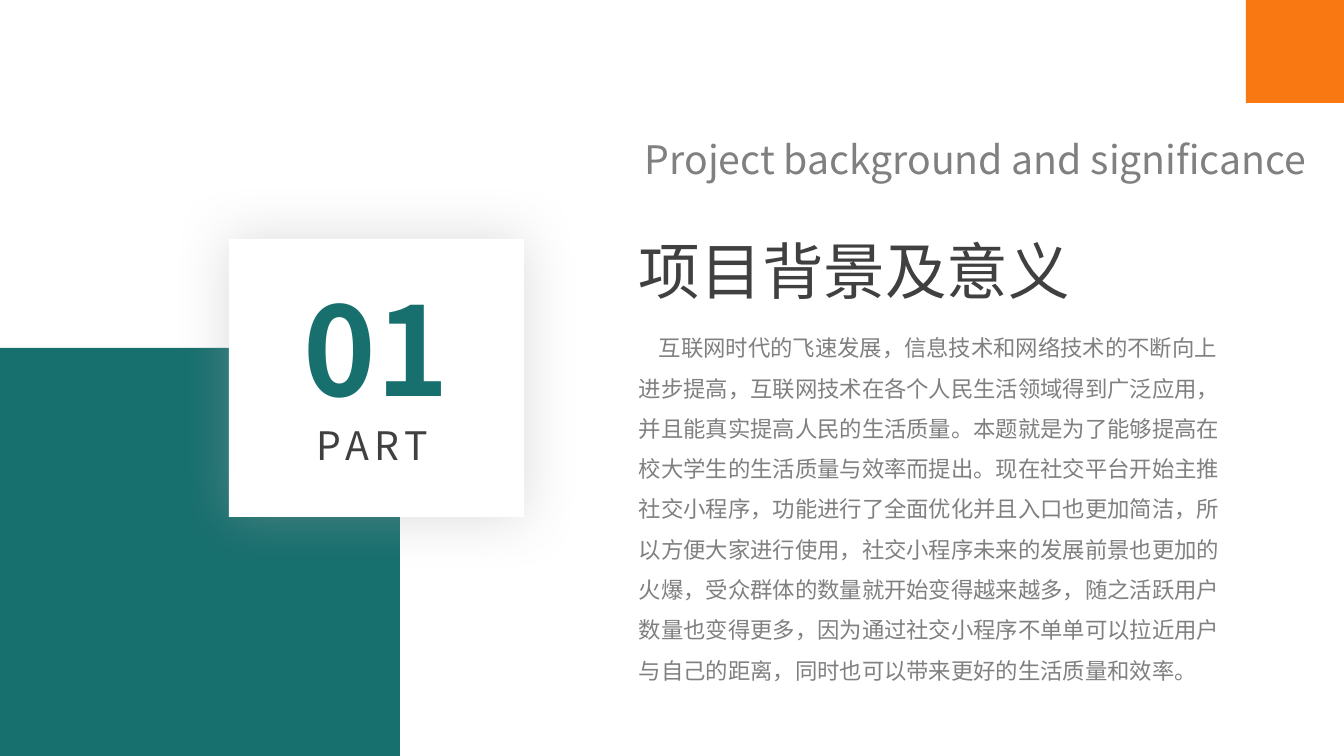
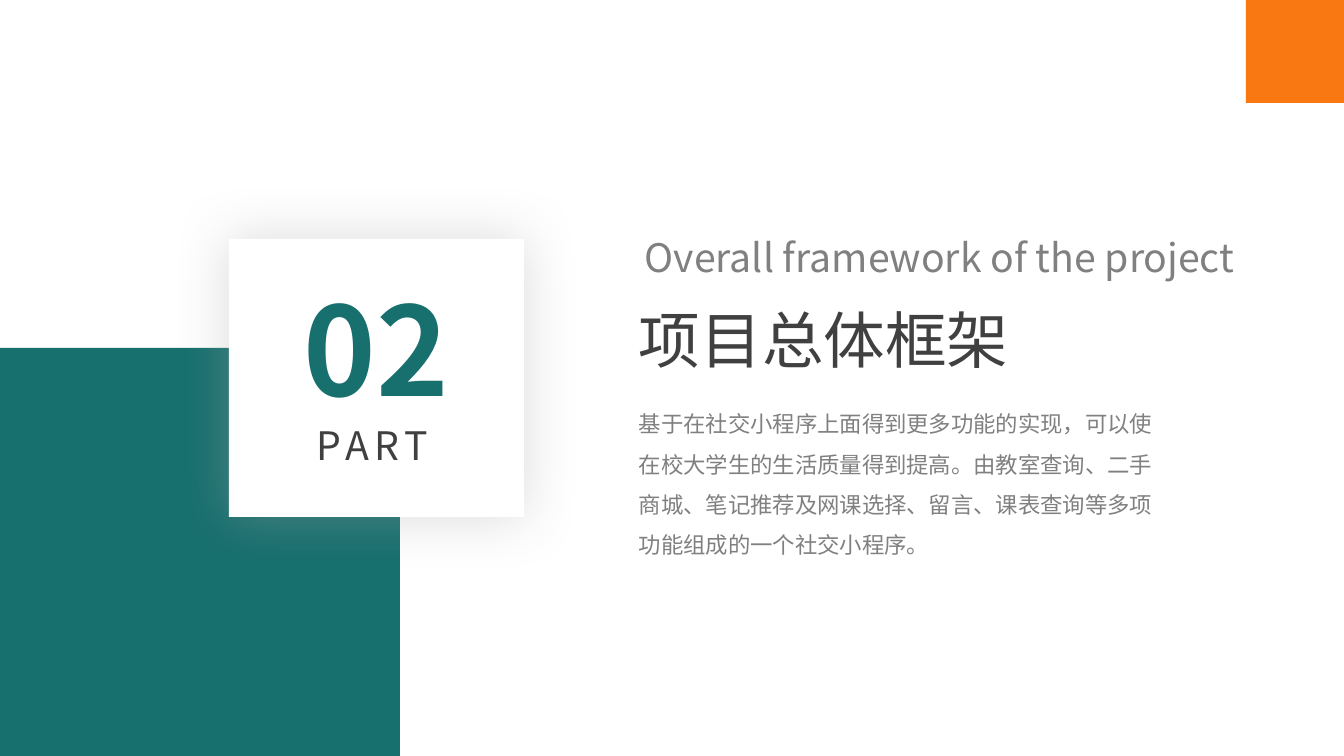
import lxml.etree
import pptx
import pptx.dml.color
import pptx.enum.shapes
import pptx.enum.text
import pptx.oxml.ns
import pptx.util

SLIDE_W, SLIDE_H = 1344, 756
EMU_PER_PX = 12192000 / SLIDE_W

SANS = "Noto Sans CJK SC"
TITLE_FONT = "Noto Sans CJK JP"
TEAL, ORANGE, WHITE = "176F6E", "FA7812", "FFFFFF"
DARK, GREY, SHADOW = "404040", "808080", "A6A6A6"

TEXT_LEFT = 629
JUSTIFY = pptx.enum.text.PP_ALIGN.JUSTIFY


def px(length):
    return pptx.util.Emu(round(length * EMU_PER_PX))


def color(hex_string):
    return pptx.dml.color.RGBColor.from_string(hex_string)


def add_xml(parent, tag, **attributes):
    return lxml.etree.SubElement(parent, pptx.oxml.ns.qn(tag), attributes)


class Deck:
    """Holds the shared style and the slide being built."""

    def __init__(self):
        self.prs = pptx.Presentation()
        self.prs.slide_width, self.prs.slide_height = px(SLIDE_W), px(SLIDE_H)
        self.slide = None

    def new_slide(self):
        self.slide = self.prs.slides.add_slide(self.prs.slide_layouts[6])

    def block(self, left, top, width, height, fill):
        block = self.slide.shapes.add_shape(
            pptx.enum.shapes.MSO_SHAPE.RECTANGLE,
            px(left), px(top), px(width), px(height))
        block.shadow.inherit = False
        block.fill.solid()
        block.fill.fore_color.rgb = color(fill)
        block.line.fill.background()
        return block

    def card(self, left, top, width, height):
        """White block with a soft shadow on all sides."""
        card = self.block(left, top, width, height, WHITE)
        effects = card._element.spPr.find(pptx.oxml.ns.qn("a:effectLst"))
        shadow = add_xml(effects, "a:outerShdw", dist="0", algn="ctr",
                         blurRad=str(pptx.util.Pt(40)), rotWithShape="0")
        tint = add_xml(shadow, "a:srgbClr", val=SHADOW)
        add_xml(tint, "a:alpha", val="40000")

    def text(self, left, top, width, height, words, size, fill, font=SANS,
             bold=False, align=None, wrap=True, spacing=None, tracking=0,
             indent=0):
        box = self.slide.shapes.add_textbox(px(left), px(top), px(width), px(height))
        frame = box.text_frame
        frame.word_wrap = wrap
        frame.text = words
        paragraph = frame.paragraphs[0]
        paragraph.alignment = align
        paragraph.line_spacing = spacing
        if indent:
            paragraph._p.get_or_add_pPr().set("indent", str(px(indent)))
        run = paragraph.runs[0]
        run.font.size = pptx.util.Pt(size)
        run.font.bold = bold
        run.font.color.rgb = color(fill)
        run.font.name = font
        properties = run._r.get_or_add_rPr()
        add_xml(properties, "a:ea", typeface=font)
        if tracking:
            properties.set("spc", str(tracking * 100))

    def section(self, number):
        """Start a section slide: colour blocks and the numbered card."""
        self.new_slide()
        self.block(0, 348, 400, 408, TEAL)
        self.card(229, 239, 295, 278)
        self.block(1246, 0, 98, 103, ORANGE)
        self.text(294, 268, 167, 159, number, 88, TEAL, bold=True, wrap=False)
        self.text(307, 416, 150, 57, "PART", 28, DARK, align=JUSTIFY, tracking=4)

    def title(self, top, words):
        self.text(TEXT_LEFT, top, 506, 86, words, 44, DARK, font=TITLE_FONT)

    def subtitle(self, top, words):
        self.text(TEXT_LEFT + 6, top, 709, 60, words, 28, GREY, align=JUSTIFY)

    def body(self, top, width, height, words, indent=0):
        self.text(TEXT_LEFT, top, width, height, words, 16, GREY,
                  spacing=1.5, indent=indent)


def main():
    deck = Deck()

    # Part 01: background and significance
    deck.section("01")
    deck.title(228, "项目背景及意义")
    deck.subtitle(130, "Project background and significance")
    deck.body(
        316, 606, 411,
        "互联网时代的飞速发展，信息技术和网络技术的不断向上进步提高，"
        "互联网技术在各个人民生活领域得到广泛应用，并且能真实提高人民的生活质量。"
        "本题就是为了能够提高在校大学生的生活质量与效率而提出。"
        "现在社交平台开始主推社交小程序，功能进行了全面优化并且入口也更加简洁，"
        "所以方便大家进行使用，社交小程序未来的发展前景也更加的火爆，"
        "受众群体的数量就开始变得越来越多，随之活跃用户数量也变得更多，"
        "因为通过社交小程序不单单可以拉近用户与自己的距离，"
        "同时也可以带来更好的生活质量和效率。",
        indent=20)

    # Part 02: overall framework
    deck.section("02")
    deck.title(297, "项目总体框架")
    deck.subtitle(228, "Overall framework of the project")
    deck.body(
        392, 539, 268,
        "基于在社交小程序上面得到更多功能的实现，可以使在校大学生的生活质量得到提高。"
        "由教室查询、二手商城、笔记推荐及网课选择、留言、课表查询等多项功能"
        "组成的一个社交小程序。")

    deck.prs.save("out.pptx")


if __name__ == "__main__":
    main()
